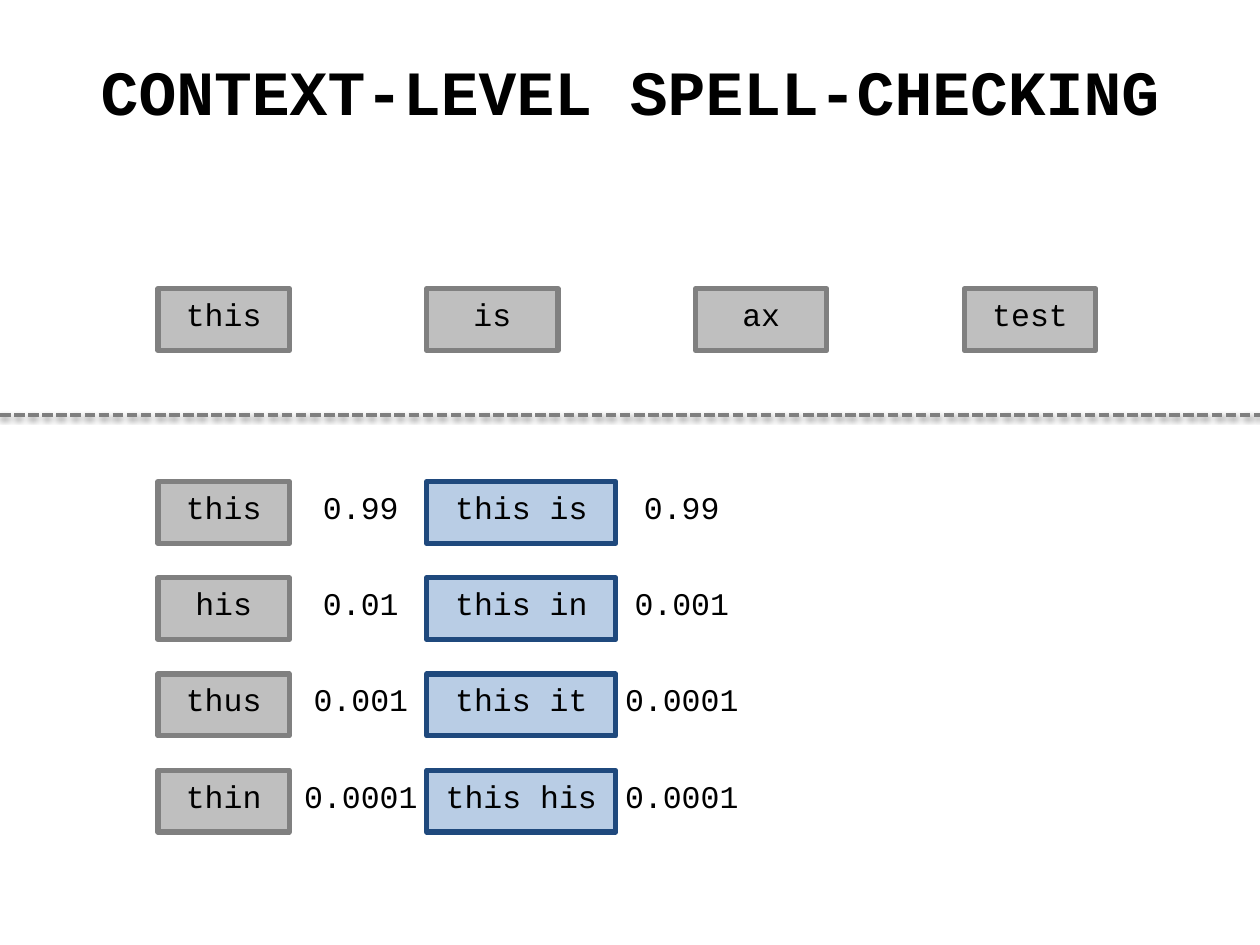
from lxml.etree import SubElement
from pptx import Presentation
from pptx.dml.color import RGBColor
from pptx.enum.dml import MSO_LINE
from pptx.enum.shapes import MSO_CONNECTOR, MSO_SHAPE
from pptx.enum.text import MSO_ANCHOR, MSO_AUTO_SIZE, PP_ALIGN
from pptx.oxml.ns import qn
from pptx.util import Pt

BLACK = RGBColor(0x00, 0x00, 0x00)
GRAY_FILL = RGBColor(0xBF, 0xBF, 0xBF)
GRAY_EDGE = RGBColor(0x80, 0x80, 0x80)
BLUE_FILL = RGBColor(0xB9, 0xCD, 0xE5)
BLUE_EDGE = RGBColor(0x1F, 0x49, 0x7D)
RULE_GRAY = RGBColor(0x7F, 0x7F, 0x7F)

LEFT = 90.3
COLUMN_STEP = 153.6
ROW_STEP = 55
WORD_WIDTH, PAIR_WIDTH, CELL_HEIGHT = 75, 108, 35.3

SENTENCE = ["this", "is", "ax", "test"]
WORD_SCORES = [("this", "0.99"), ("his", "0.01"), ("thus", "0.001"), ("thin", "0.0001")]
PAIR_SCORES = [("this is", "0.99"), ("this in", "0.001"),
               ("this it", "0.0001"), ("this his", "0.0001")]

TITLE_FRAME = {"word_wrap": True, "auto_size": MSO_AUTO_SIZE.SHAPE_TO_FIT_TEXT,
               "vertical_anchor": MSO_ANCHOR.TOP}
CELL_FRAME = {"word_wrap": False, "vertical_anchor": MSO_ANCHOR.TOP,
              "margin_left": Pt(0), "margin_right": Pt(0)}
TITLE_FONT = {"name": "Courier New", "size": Pt(36), "bold": True}
CELL_FONT = {"name": "Courier New", "size": Pt(18), "bold": False}


def apply_format(target, values):
    for name, value in values.items():
        setattr(target, name, value)


def write_text(box, text, frame_format=CELL_FRAME, font_format=CELL_FONT):
    apply_format(box.text_frame, frame_format)
    para = box.text_frame.paragraphs[0]
    para.alignment = PP_ALIGN.CENTER
    span = para.add_run()
    span.text = text
    apply_format(span.font, font_format)
    span.font.color.rgb = BLACK


def add_tile(page, text, left, top, width, fill, edge):
    box = page.shapes.add_shape(MSO_SHAPE.RECTANGLE, Pt(left), Pt(top),
                                Pt(width), Pt(CELL_HEIGHT))
    box.shadow.inherit = False
    box.fill.solid()
    box.fill.fore_color.rgb = fill
    box.line.color.rgb = edge
    box.line.width = Pt(3)
    write_text(box, text)


def add_title(page, text, left, top, width, height):
    box = page.shapes.add_textbox(Pt(left), Pt(top), Pt(width), Pt(height))
    write_text(box, text, TITLE_FRAME, TITLE_FONT)


def add_sentence(page, words, left, top):
    for column, word in enumerate(words):
        add_tile(page, word, left + column * COLUMN_STEP, top,
                 WORD_WIDTH, GRAY_FILL, GRAY_EDGE)


def add_divider(page, left, top, width):
    divider = page.shapes.add_connector(MSO_CONNECTOR.STRAIGHT, Pt(left), Pt(top),
                                        Pt(left + width), Pt(top))
    divider.line.color.rgb = RULE_GRAY
    divider.line.width = Pt(2)
    divider.line.dash_style = MSO_LINE.SQUARE_DOT
    # Soft shadow straight below the line
    effects = SubElement(divider._element.spPr, qn("a:effectLst"))
    shadow = SubElement(effects, qn("a:outerShdw"), blurRad=str(Pt(3.1)),
                        dist=str(Pt(1.6)), dir="5400000", rotWithShape="0")
    color = SubElement(shadow, qn("a:srgbClr"), val=str(BLACK))
    SubElement(color, qn("a:alpha"), val="38000")


def add_candidates(page, entries, left, top, width, score_gap, fill, edge):
    for row, (words, score) in enumerate(entries):
        row_top = top + row * ROW_STEP
        add_tile(page, words, left, row_top, width, fill, edge)
        box = page.shapes.add_textbox(Pt(left + width + score_gap), Pt(row_top),
                                      Pt(WORD_WIDTH), Pt(CELL_HEIGHT))
        write_text(box, score)


deck = Presentation()
deck.slide_width, deck.slide_height = Pt(720), Pt(540)
page = deck.slides.add_slide(deck.slide_layouts[6])

add_title(page, "CONTEXT-LEVEL SPELL-CHECKING", 0, 26.6, 720, 51)
add_sentence(page, SENTENCE, LEFT, 165)
add_divider(page, 0, 237.1, 720)
add_candidates(page, WORD_SCORES, LEFT, 275.2, WORD_WIDTH, 3.4, GRAY_FILL, GRAY_EDGE)
add_candidates(page, PAIR_SCORES, LEFT + COLUMN_STEP, 275.2, PAIR_WIDTH, 0.2,
               BLUE_FILL, BLUE_EDGE)

deck.save("out.pptx")
